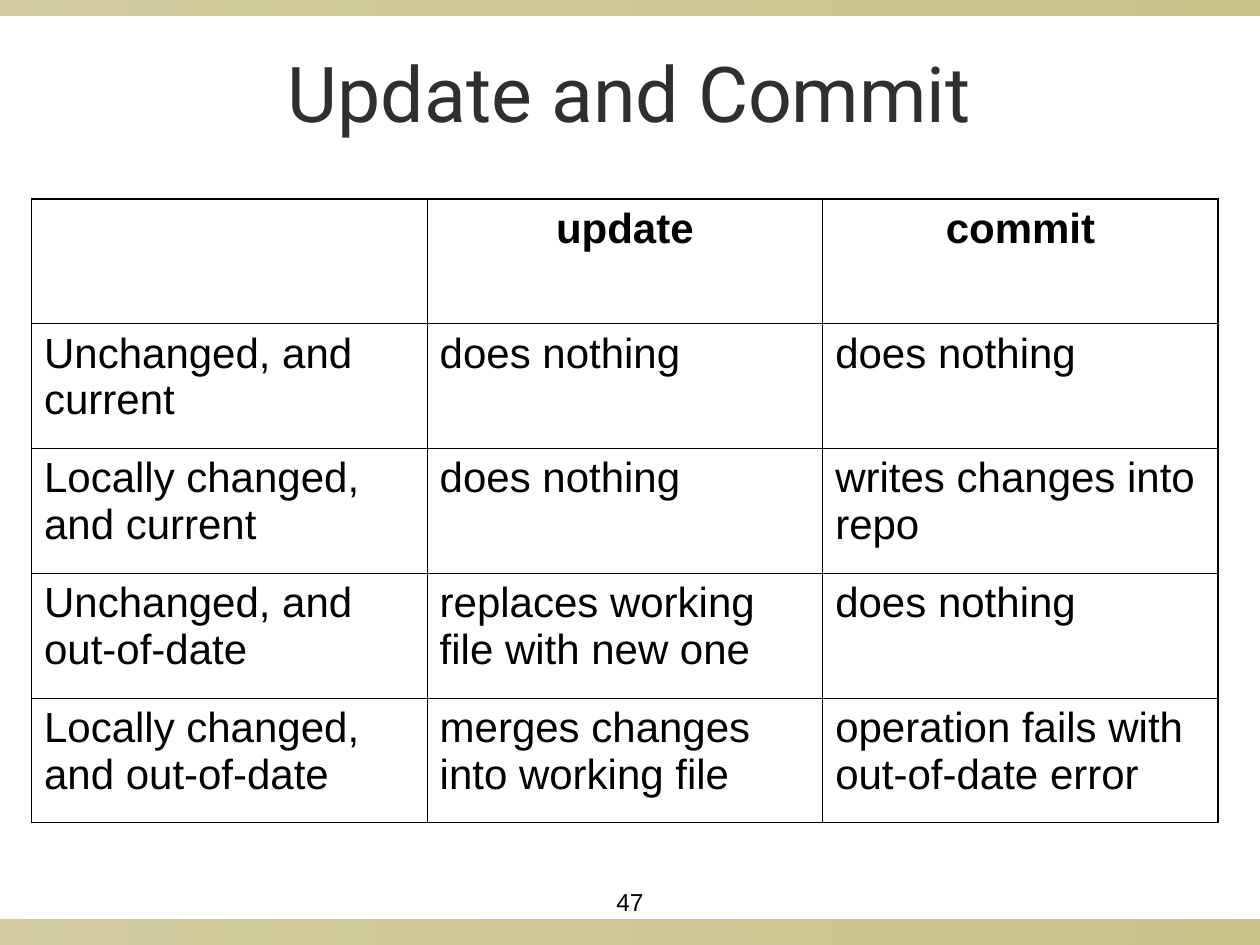
from dataclasses import dataclass

from lxml.etree import SubElement
from pptx import Presentation
from pptx.dml.color import RGBColor
from pptx.enum.shapes import MSO_SHAPE
from pptx.enum.text import MSO_ANCHOR, PP_ALIGN
from pptx.oxml.ns import qn
from pptx.slide import Slide
from pptx.table import _Cell
from pptx.text.text import TextFrame
from pptx.util import Pt

EMU_PER_PX = 9144
OLIVE = RGBColor(0x91, 0x84, 0x15)
CHARCOAL = RGBColor(0x2F, 0x2F, 0x2F)
BLACK = RGBColor(0, 0, 0)
THIN, THICK = 0.45, 1.08

TITLE_FONT = {"name": "Roboto", "size": Pt(44), "bold": False}
HEAD_FONT = {"name": "Arial", "size": Pt(24), "bold": True}
CELL_FONT = {"name": "Arial", "size": Pt(24), "bold": False}
NUMBER_FONT = {"name": "Arial", "size": Pt(14), "bold": False}

ROWS = [
    ("", "update", "commit"),
    ("Unchanged, and current", "does nothing", "does nothing"),
    ("Locally changed, and current", "does nothing", "writes changes into repo"),
    ("Unchanged, and out-of-date", "replaces working file with new one", "does nothing"),
    ("Locally changed, and out-of-date", "merges changes into working file",
     "operation fails with out-of-date error"),
]


@dataclass
class Box:
    left: int
    top: int
    width: int
    height: int

    def emu(self) -> tuple[int, ...]:
        return tuple(px(v) for v in (self.left, self.top, self.width, self.height))


BANDS = [Box(0, 730, 1000, 20), Box(0, 0, 1000, 12)]
TITLE = Box(50, 25, 900, 95)
TABLE = Box(25, 158, 942, 495)
NUMBER = Box(450, 700, 100, 31)


def px(length: int) -> int:
    return length * EMU_PER_PX


def write(frame: TextFrame, text: str, font: dict, color: RGBColor, align: PP_ALIGN) -> None:
    para = frame.paragraphs[0]
    para.alignment = align
    span = para.add_run()
    span.text = text
    for name, value in font.items():
        setattr(span.font, name, value)
    span.font.color.rgb = color


def draw_band(page: Slide, box: Box) -> None:
    band = page.shapes.add_shape(MSO_SHAPE.RECTANGLE, *box.emu())
    band.shadow.inherit = False
    band.line.fill.background()
    band.fill.gradient()
    band.fill.gradient_angle = 0
    for stop, position in zip(band.fill.gradient_stops, (0, 1)):
        stop.position = position
        stop.color.rgb = OLIVE
    for color, opacity in zip(band._element.spPr.iter(qn("a:srgbClr")), (40, 50)):
        SubElement(color, qn("a:alpha"), val=str(opacity * 1000))


def draw_title(page: Slide, text: str) -> None:
    title = page.shapes.title
    title.left, title.top, title.width, title.height = TITLE.emu()
    title.text_frame.vertical_anchor = MSO_ANCHOR.MIDDLE
    write(title.text_frame, text, TITLE_FONT, CHARCOAL, PP_ALIGN.CENTER)


def draw_borders(cell: _Cell, widths: dict[str, float]) -> None:
    properties = cell._tc.get_or_add_tcPr()
    for side, width in widths.items():
        line = SubElement(properties, qn(f"a:ln{side}"), w=str(int(Pt(width))))
        fill = SubElement(line, qn("a:solidFill"))
        SubElement(fill, qn("a:srgbClr"), val=str(BLACK))


def draw_table(page: Slide, rows: list[tuple[str, ...]]) -> None:
    last_row, last_column = len(rows) - 1, len(rows[0]) - 1
    table = page.shapes.add_table(len(rows), len(rows[0]), *TABLE.emu()).table
    table.horz_banding = False
    for r, texts in enumerate(rows):
        for c, text in enumerate(texts):
            cell = table.cell(r, c)
            draw_borders(cell, {
                "L": THICK if c == 0 else THIN,
                "R": THICK if c == last_column else THIN,
                "T": THICK if r == 0 else THIN,
                "B": THICK if r == last_row else THIN,
            })
            cell.fill.background()
            if text:
                font = HEAD_FONT if r == 0 else CELL_FONT
                align = PP_ALIGN.CENTER if r == 0 else PP_ALIGN.LEFT
                write(cell.text_frame, text, font, BLACK, align)


def draw_number(page: Slide, text: str) -> None:
    frame = page.shapes.add_textbox(*NUMBER.emu()).text_frame
    layout = {"word_wrap": True, "vertical_anchor": MSO_ANCHOR.MIDDLE}
    layout |= {f"margin_{side}": px(5) for side in ("left", "top", "right", "bottom")}
    for name, value in layout.items():
        setattr(frame, name, value)
    write(frame, text, NUMBER_FONT, BLACK, PP_ALIGN.CENTER)


def main() -> None:
    deck = Presentation()
    deck.slide_width, deck.slide_height = px(1000), px(750)
    page = deck.slides.add_slide(deck.slide_layouts[5])
    for band in BANDS:
        draw_band(page, band)
    draw_title(page, "Update and Commit")
    draw_table(page, ROWS)
    draw_number(page, "47")
    deck.save("out.pptx")


if __name__ == "__main__":
    main()
